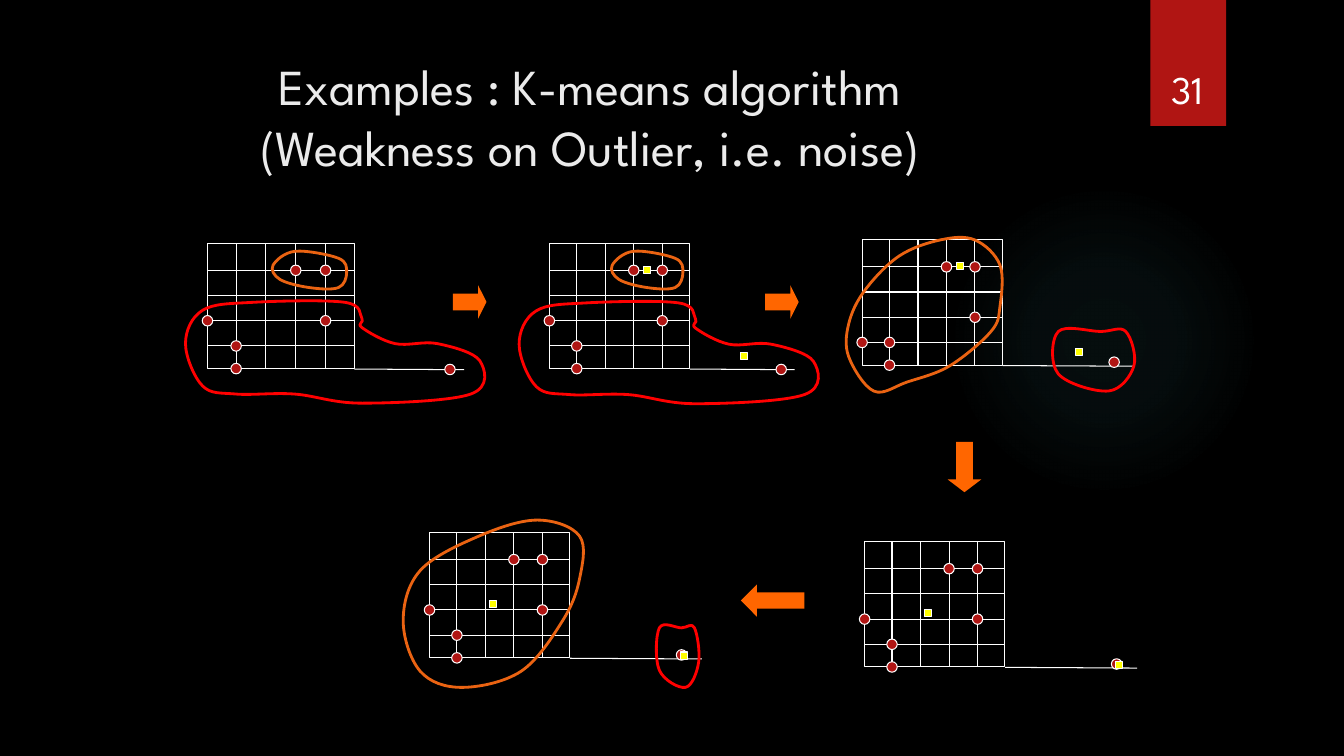
from dataclasses import dataclass

from lxml.etree import SubElement
from pptx import Presentation
from pptx.dml.color import RGBColor
from pptx.enum.shapes import MSO_CONNECTOR, MSO_SHAPE
from pptx.enum.text import MSO_ANCHOR, PP_ALIGN
from pptx.oxml import parse_xml
from pptx.oxml.ns import qn
from pptx.util import Pt

HUES = {"back": "000000", "white": "FFFFFF", "title": "EBEBEB", "red": "B01513",
        "mean": "FFFF00", "arrow": "FF6600", "orange": "EA6312", "noise": "FF0000",
        "glow": "50B9C1"}
FONT = "League Spartan"
HIGH = 89.6  # grid height
DOT, MEAN = 7.5, 5.2
Spot = tuple[float, float]


@dataclass
class Panel:
    x: float
    y: float
    wide: float
    tail: float
    far: Spot                # outlier, measured from the grid corner
    means: tuple[Spot, ...]  # cluster centres, likewise
    low: int = 3             # grid row of the leftmost point


@dataclass
class Loop:
    x: float
    y: float
    hue: str
    spots: tuple[Spot, ...]
    scale: float = 1


@dataclass
class Arrow:
    kind: MSO_SHAPE
    x: float
    y: float
    wide: float
    high: float
    head: float


PANELS = (
    Panel(148.2, 173.7, 104.9, 78.5, (173.2, 90.2), ()),
    Panel(392.4, 173.7, 100.3, 74.9, (165.6, 90.2), ((139.3, 80.8), (70, 19.1))),
    Panel(615.8, 171.2, 100.3, 94.3, (180, 87.5), ((155.2, 80.1), (70, 18.7)), 4),
    Panel(617.6, 386.8, 100.3, 94.3, (180, 87.5), ((181.7, 88), (45.2, 51.3))),
    Panel(306.8, 380.3, 100.3, 94.3, (180, 87.5), ((181.7, 88), (45.2, 51.3))),
)

PAIR = ((93.6, 10.8), (62.6, 5.8), (46.8, 15.8), (51.8, 25.9), (72.7, 31.7),
        (93.6, 31.7), (99.4, 20.9))
LONG = ((48.2, 2.2), (12.2, 7.9), (0, 31.7), (12.2, 61.9), (36, 67.7), (77.8, 67.7),
        (126, 74.2), (203.8, 67.7), (210.2, 43.9), (180, 31.7), (149.8, 31.7),
        (126, 20.2), (126, 13.7), (113.8, 2.2))
LEAF = ((110.9, 21.6), (92.9, 3.6), (68.4, 3.6), (38.9, 15.1), (14.4, 39.6),
        (2.9, 63.4), (2.9, 87.1), (20.9, 111.6), (44.6, 105.1), (74.9, 93.6),
        (104.4, 69.1), (110.9, 51.1))
EGG = ((54, 11.5), (12.2, 36), (0, 72), (12.2, 108), (41.8, 119.5), (84.2, 108),
       (113.8, 72), (126, 41.8), (126, 11.5), (95.8, 0))
LONE = ((36, 5), (5.8, 5), (5.8, 35.3), (41.8, 47.5), (59.8, 29.5), (54, 5))

LOOPS = (
    Loop(148.2, 173.7, "orange", PAIR), Loop(392.4, 173.7, "orange", PAIR, 0.96),
    Loop(132.5, 213.8, "noise", LONG), Loop(370.8, 214.2, "noise", LONG),
    Loop(603.4, 167.8, "orange", LEAF), Loop(288, 371.5, "orange", EGG),
    Loop(750.2, 231.8, "noise", LONE), Loop(468, 443.5, "noise", LONE, 0.52),
)

ARROWS = (
    Arrow(MSO_SHAPE.RIGHT_ARROW, 323.5, 203.7, 24, 24, 0.25),
    Arrow(MSO_SHAPE.RIGHT_ARROW, 546.5, 203.7, 24, 24, 0.25),
    Arrow(MSO_SHAPE.DOWN_ARROW, 676.9, 315.6, 24, 36, 0.38),
    Arrow(MSO_SHAPE.LEFT_ARROW, 529.2, 417.5, 45.4, 23, 0.5),
)


def tint(name: str) -> RGBColor:
    return RGBColor.from_string(HUES[name])


def edge(shape, hue: str, width: float) -> None:
    shape.line.color.rgb = tint(hue)
    shape.line.width = Pt(width)


def block(host, kind, x: float, y: float, wide: float, high: float,
          fill: str = "", line: str = "") -> object:
    shape = host.add_shape(kind, Pt(x), Pt(y), Pt(wide), Pt(high))
    shape.shadow.inherit = False
    if fill:
        shape.fill.solid()
        shape.fill.fore_color.rgb = tint(fill)
    else:
        shape.fill.background()
    if line:
        edge(shape, line, 0.75)
    else:
        shape.line.fill.background()
    return shape


def rule(host, x: float, y: float, end: float, foot: float) -> None:
    line = host.add_connector(MSO_CONNECTOR.STRAIGHT, Pt(x), Pt(y), Pt(end), Pt(foot))
    edge(line, "white", 0.75)
    SubElement(line.element.spPr, qn("a:effectLst"))


def mark(host, kind, x: float, y: float, size: float, fill: str) -> None:
    block(host, kind, x - size / 2, y - size / 2, size, size, fill, "white")


def panel(host, item: Panel) -> None:
    x, y, right, foot = item.x, item.y, item.x + item.wide, item.y + HIGH
    cols = [x] + [x + item.wide * (0.195 + 0.203 * i) for i in range(4)]
    rows = [y] + [y + 19.4 + 18 * i for i in range(4)] + [foot]
    grid = host.add_group_shape().shapes
    block(grid, MSO_SHAPE.RECTANGLE, x, y, item.wide, HIGH, line="white")
    for col in cols[1:]:
        rule(grid, col, y, col, foot)
    for row in rows[1:-1]:
        rule(grid, x, row, right, row)
    rule(host, right, foot + 0.3, right + item.tail, foot + 0.8)
    # Points sit on grid crossings, the outlier on the tail
    cells = ((3, 1), (4, 1), (4, 3), (1, 5), (1, 4), (0, item.low))
    dots = [(cols[c], rows[r]) for c, r in cells]
    for left, top in dots + [(x + item.far[0], y + item.far[1])]:
        mark(host, MSO_SHAPE.OVAL, left, top, DOT, "red")
    for left, top in item.means:
        mark(host, MSO_SHAPE.RECTANGLE, x + left, y + top, MEAN, "mean")


def loop(host, item: Loop) -> None:
    spots = [(item.x + x * item.scale, item.y + y) for x, y in item.spots]
    size, bends = len(spots), []
    for i in range(size):
        prev, here, then, last = (spots[(i + k) % size] for k in (-1, 0, 1, 2))
        # Handles run parallel to the chord between neighbours
        bends.append([h + (t - p) / 6 for p, h, t in zip(prev, here, then)])
        bends.append([t - (e - h) / 6 for h, t, e in zip(here, then, last)])
        bends.append(then)
    pen = host.build_freeform(Pt(spots[0][0]), Pt(spots[0][1]))
    pen.add_line_segments([(Pt(x), Pt(y)) for x, y in bends], close=True)
    shape = pen.convert_to_shape()
    shape.shadow.inherit = False
    shape.fill.background()
    edge(shape, item.hue, 2)
    # Join each three segments into one curve
    for i, part in enumerate(list(shape.element.iter(qn("a:lnTo")))):
        if i % 3 == 0:
            curve = part.makeelement(qn("a:cubicBezTo"))
            part.addprevious(curve)
        curve.append(part[0])
        part.getparent().remove(part)


def write(shape, text: str, size: float, hue: str, anchor) -> None:
    frame = shape.text_frame
    for key, value in {"word_wrap": True, "vertical_anchor": anchor, "text": text}.items():
        setattr(frame, key, value)
    for para in frame.paragraphs:
        para.alignment = PP_ALIGN.CENTER
        para.line_spacing = 1.0
        for run in para.runs:
            for key, value in {"name": FONT, "size": Pt(size)}.items():
                setattr(run.font, key, value)
            run.font.color.rgb = tint(hue)


def glow(host) -> None:
    shape = block(host, MSO_SHAPE.OVAL, 677.5, 131.8, 221.8, 221.8, "glow")
    stops = "".join(
        f'<a:gs pos="{at * 1000}"><a:srgbClr val="{HUES["glow"]}">'
        f'<a:alpha val="{alpha * 1000}"/></a:srgbClr></a:gs>'
        for at, alpha in ((0, 7), (36, 6), (69, 0), (100, 0)))
    fill = parse_xml(
        '<a:gradFill xmlns:a="http://schemas.openxmlformats.org/drawingml/2006/main">'
        f'<a:gsLst>{stops}</a:gsLst><a:path path="circle">'
        '<a:fillToRect l="50000" t="50000" r="50000" b="50000"/></a:path></a:gradFill>')
    solid = shape.element.spPr.find(qn("a:solidFill"))
    solid.getparent().replace(solid, fill)


def main() -> None:
    deck = Presentation()
    deck.slide_width, deck.slide_height = Pt(960), Pt(540)
    slide = deck.slides.add_slide(deck.slide_layouts[5])
    slide.background.fill.solid()
    slide.background.fill.fore_color.rgb = tint("back")
    host = slide.shapes

    # Backdrop, title and page number
    glow(host)
    block(host, MSO_SHAPE.RECTANGLE, 821.8, 0, 54, 90, "red")
    title = host.title
    place = {"left": 51.1, "top": 36, "width": 740.9, "height": 110.2}
    for key, value in place.items():
        setattr(title, key, Pt(value))
    write(title, "Examples : K-means algorithm\v(Weakness on Outlier, i.e. noise)",
          36, "title", MSO_ANCHOR.TOP)
    page = host.add_textbox(Pt(815), Pt(23), Pt(66.2), Pt(60.5))
    write(page, "31", 28, "white", MSO_ANCHOR.BOTTOM)

    # Clustering steps
    for item in PANELS:
        panel(host, item)
    for item in LOOPS:
        loop(host, item)
    for item in ARROWS:
        shape = block(host, item.kind, item.x, item.y, item.wide, item.high, "arrow")
        shape.adjustments[0], shape.adjustments[1] = 0.5, item.head
    deck.save("out.pptx")


if __name__ == "__main__":
    main()
